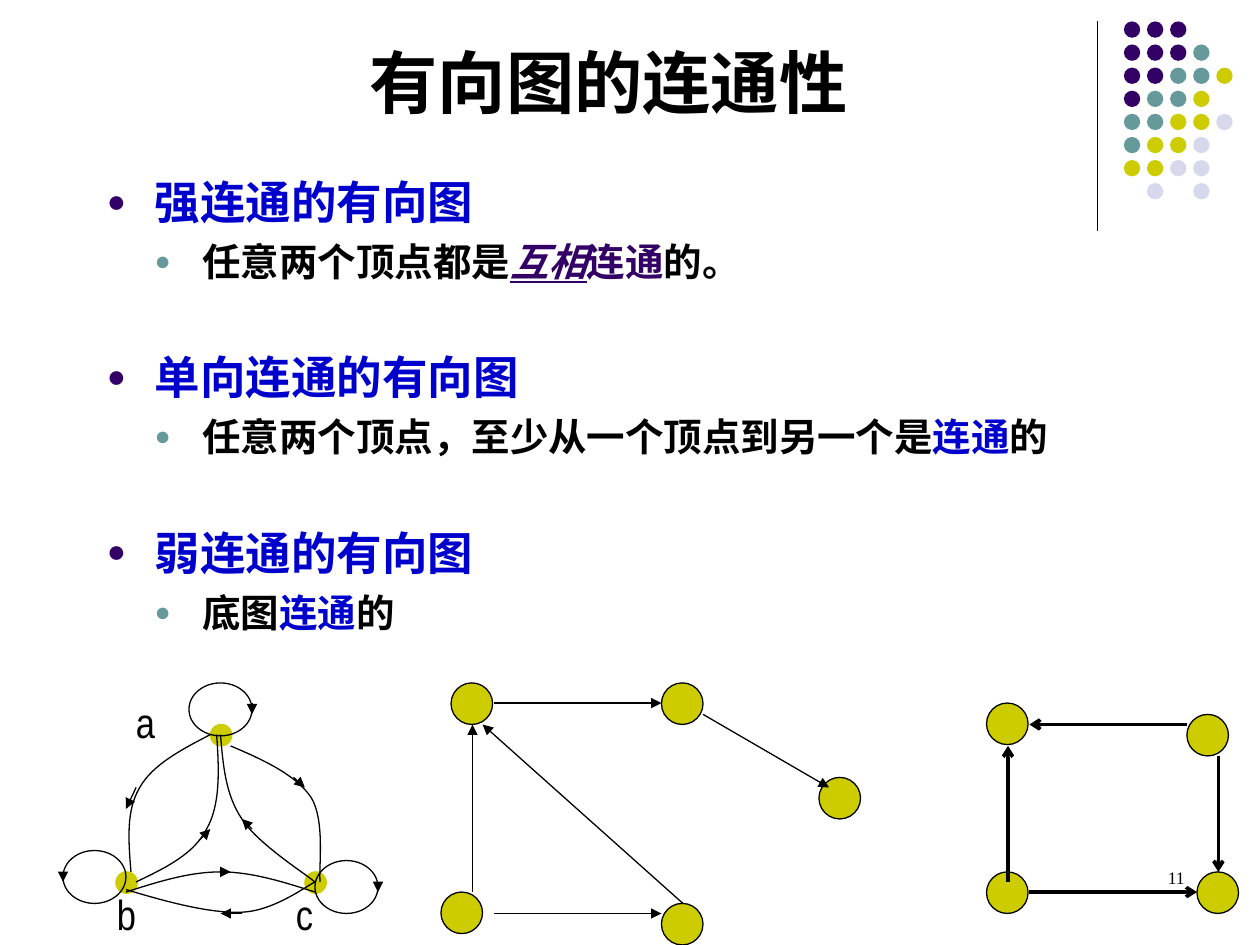
from dataclasses import dataclass

from lxml.etree import SubElement
from pptx import Presentation
from pptx.dml.color import RGBColor
from pptx.enum.shapes import MSO_CONNECTOR, MSO_SHAPE
from pptx.enum.text import MSO_ANCHOR, MSO_AUTO_SIZE, PP_ALIGN
from pptx.oxml.ns import qn
from pptx.util import Inches, Pt


@dataclass(frozen=True)
class Theme:
    black: RGBColor = RGBColor.from_string("000000")
    white: RGBColor = RGBColor.from_string("FFFFFF")
    purple: RGBColor = RGBColor.from_string("330066")
    teal: RGBColor = RGBColor.from_string("669999")
    olive: RGBColor = RGBColor.from_string("CCCC00")
    lilac: RGBColor = RGBColor.from_string("D8D8EC")
    blue: RGBColor = RGBColor.from_string("0000CC")
    title_size: Pt = Pt(39)
    heading_size: Pt = Pt(26)
    detail_size: Pt = Pt(22)
    label_size: Pt = Pt(24)
    number_size: Pt = Pt(10)
    thin: Pt = Pt(0.75)
    thick: Pt = Pt(2)
    chinese: str = "Noto Sans CJK SC"


theme = Theme()
prs = Presentation()
prs.slide_width, prs.slide_height = Inches(10), Inches(7.5)
slide = prs.slides.add_slide(prs.slide_layouts[5])
slide.background.fill.solid()
slide.background.fill.fore_color.rgb = theme.white
shapes = slide.shapes


def add_oval(left, top, width, height, fill=None, outline=None):
    oval = shapes.add_shape(MSO_SHAPE.OVAL, Inches(left), Inches(top), Inches(width), Inches(height))
    oval.shadow.inherit = False
    if fill is None:
        oval.fill.background()
    else:
        oval.fill.solid()
        oval.fill.fore_color.rgb = fill
    if outline is None:
        oval.line.fill.background()
    else:
        oval.line.color.rgb = outline
        oval.line.width = theme.thin


def add_edge(x1, y1, x2, y2, width=theme.thin, arrowhead=None):
    edge = shapes.add_connector(MSO_CONNECTOR.STRAIGHT, Inches(x1), Inches(y1), Inches(x2), Inches(y2))
    edge.line.color.rgb = theme.black
    edge.line.width = width
    if arrowhead:
        SubElement(edge.line._get_or_add_ln(), qn("a:tailEnd"), type=arrowhead)
    SubElement(edge._element.spPr, qn("a:effectLst"))


# Corner ornament: one letter per dot
add_edge(8.71, 0.17, 8.71, 1.83)
dot_colors = {"P": theme.purple, "T": theme.teal, "O": theme.olive, "L": theme.lilac}
dot_rows = ["PPP", "PPPT", "PPTTO", "PTTO", "TTOOL", "TOOL", "OOLL", " L L"]
dot_pitch = 0.55 / 3
for row, letters in enumerate(dot_rows):
    for column, letter in enumerate(letters):
        if letter in dot_colors:
            add_oval(8.92 + column * dot_pitch, 0.17 + row * dot_pitch, 0.13, 0.13, dot_colors[letter])

# Title
title = shapes.title
title.left, title.top, title.width, title.height = Inches(0.58), Inches(0.05), Inches(8.5), Inches(0.97)
title.text_frame.text = "有向图的连通性"
title.text_frame.vertical_anchor = MSO_ANCHOR.BOTTOM
title.text_frame.auto_size = MSO_AUTO_SIZE.NONE
title_line = title.text_frame.paragraphs[0]
title_line.alignment = PP_ALIGN.CENTER
title_line.font.size = theme.title_size
title_line.font.bold = True
title_line.font.name = theme.chinese
title_line.font.color.rgb = theme.black

# Definitions: a heading, then a detail line made of (text, colour, emphasised) parts
definitions = [
    ("强连通的有向图", [("任意两个顶点都是", theme.black, False), ("互相", theme.purple, True),
                 ("连通", theme.purple, False), ("的。", theme.black, False)]),
    ("单向连通的有向图", [("任意两个顶点，至少从一个顶点到另一个是", theme.black, False),
                  ("连通", theme.blue, False), ("的", theme.black, False)]),
    ("弱连通的有向图", [("底图", theme.black, False), ("连通", theme.blue, False),
                 ("的", theme.black, False)]),
]
body = shapes.add_textbox(Inches(0.75), Inches(1.33), Inches(8.5), Inches(4.17)).text_frame
body.word_wrap = True
for index, (heading, detail) in enumerate(definitions):
    levels = [
        ([(heading, theme.blue, False)], theme.heading_size, theme.purple, 0.38, 37.2),
        (detail, theme.detail_size, theme.teal, 0.76, 5.5),
    ]
    for level, (parts, size, bullet_color, indent, gap) in enumerate(levels):
        first = index == 0 and level == 0
        line = body.paragraphs[0] if first else body.add_paragraph()
        line.level = level
        if not first:
            line.space_before = Pt(gap)
        properties = line._p.get_or_add_pPr()
        properties.set("marL", str(Inches(indent)))
        properties.set("indent", str(-Inches(0.38)))
        SubElement(SubElement(properties, qn("a:buClr")), qn("a:srgbClr"), val=str(bullet_color))
        SubElement(properties, qn("a:buSzPct"), val="70000")
        SubElement(properties, qn("a:buFont"), typeface="Arial")
        SubElement(properties, qn("a:buChar"), char="●")
        line.font.size = size
        line.font.bold = True
        line.font.name = "Arial"
        for text, color, emphasised in parts:
            run = line.add_run()
            run.text = text
            run.font.color.rgb = color
            if emphasised:
                run.font.italic = True
                run.font.underline = True

for line in [title_line, *body.paragraphs]:
    for run in line.runs:
        SubElement(run.font._rPr, qn("a:ea"), typeface=theme.chinese)

# Right graph: square
for left, top in [(7.83, 5.58), (7.83, 6.92), (9.5, 6.92), (9.42, 5.67)]:
    add_oval(left, top, 0.33, 0.33, theme.olive, theme.black)
for ends in [(8, 7, 8, 5.92), (9.42, 5.75, 8.17, 5.75), (9.67, 6, 9.67, 6.92), (8.17, 7.08, 9.5, 7.08)]:
    add_edge(*ends, theme.thick, "arrow")

# Left graph: vertices, loops, curved edges and their direction marks
for left, top in [(1.67, 5.75), (0.92, 6.92), (2.42, 6.92)]:
    add_oval(left, top, 0.17, 0.17, theme.olive, theme.olive)
for left, top in [(2.5, 6.83), (1.5, 5.42), (0.5, 6.75)]:
    add_oval(left, top, 0.5, 0.42, outline=theme.black)

# Each curve is a chain of cubic Béziers: start, then two controls and an end per segment
curves = [
    [(1.08, 7), (1.31, 6.89), (1.54, 6.78), (1.64, 6.58), (1.75, 6.39), (1.74, 6.11), (1.72, 5.83)],
    [(1.67, 5.83), (1.44, 5.95), (1.21, 6.07), (1.11, 6.25), (1, 6.43), (1.02, 6.67), (1.04, 6.92)],
    [(1.75, 5.83), (1.77, 6.07), (1.79, 6.31), (1.92, 6.5), (2.04, 6.69), (2.4, 6.92), (2.5, 7)],
    [(1.83, 5.92), (2.09, 6.03), (2.35, 6.15), (2.47, 6.33), (2.58, 6.51), (2.53, 6.87), (2.54, 7)],
    [(1, 7.06), (1.33, 7.16), (1.67, 7.25), (1.92, 7.24), (2.17, 7.23), (2.42, 7.04), (2.5, 7)],
    [(1, 7.08), (1.25, 7), (1.5, 6.92), (1.75, 6.92), (2, 6.92), (2.25, 7), (2.5, 7.08)],
]
for curve in curves:
    start, *controls = [(Inches(x), Inches(y)) for x, y in curve]
    builder = shapes.build_freeform(*start)
    builder.add_line_segments(controls, close=False)
    arc = builder.convert_to_shape()
    arc.shadow.inherit = False
    arc.fill.background()
    arc.line.color.rgb = theme.black
    arc.line.width = theme.thin
    # Turn every three straight segments into one cubic Bézier
    outline = next(arc._element.iter(qn("a:path")))
    segments = outline.findall(qn("a:lnTo"))
    for first in range(0, len(segments), 3):
        bezier = SubElement(outline, qn("a:cubicBezTo"))
        for segment in segments[first:first + 3]:
            bezier.append(segment[0])
            outline.remove(segment)

direction_marks = [
    (3, 7, 3, 7.08), (2, 5.58, 2, 5.67), (0.5, 6.92, 0.5, 7), (1.08, 6.25, 1, 6.42),
    (1.58, 6.67, 1.67, 6.58), (2.33, 6.17, 2.42, 6.25), (2, 6.58, 1.92, 6.5),
    (1.75, 6.92, 1.83, 6.92), (1.92, 7.25, 1.75, 7.25),
]
for ends in direction_marks:
    add_edge(*ends, arrowhead="triangle")

# Middle graph
for left, top in [(3.58, 5.42), (3.5, 7.08), (5.25, 7.17), (5.25, 5.42), (6.5, 6.17)]:
    add_oval(left, top, 0.33, 0.33, theme.olive, theme.black)
for ends in [(3.75, 7.08, 3.75, 5.75), (3.92, 5.58, 5.25, 5.58), (5.58, 5.67, 6.58, 6.25),
             (5.42, 7.17, 3.83, 5.75), (3.92, 7.25, 5.25, 7.25)]:
    add_edge(*ends, arrowhead="triangle")

# Vertex labels and page number
captions = [
    ("a", 0.98, 5.48, 0.42, "Arial Narrow", theme.label_size, PP_ALIGN.LEFT),
    ("b", 0.83, 7, 0.42, "Arial Narrow", theme.label_size, PP_ALIGN.LEFT),
    ("c", 2.25, 7, 0.42, "Arial Narrow", theme.label_size, PP_ALIGN.LEFT),
    ("11", 7.17, 6.83, 2.33, "Times New Roman", theme.number_size, PP_ALIGN.RIGHT),
]
for text, left, top, width, font_name, size, alignment in captions:
    caption = shapes.add_textbox(Inches(left), Inches(top), Inches(width), Inches(0.5)).text_frame
    caption.word_wrap = True
    caption.text = text
    line = caption.paragraphs[0]
    line.alignment = alignment
    line.font.name = font_name
    line.font.size = size
    line.font.color.rgb = theme.black

prs.save("out.pptx")
